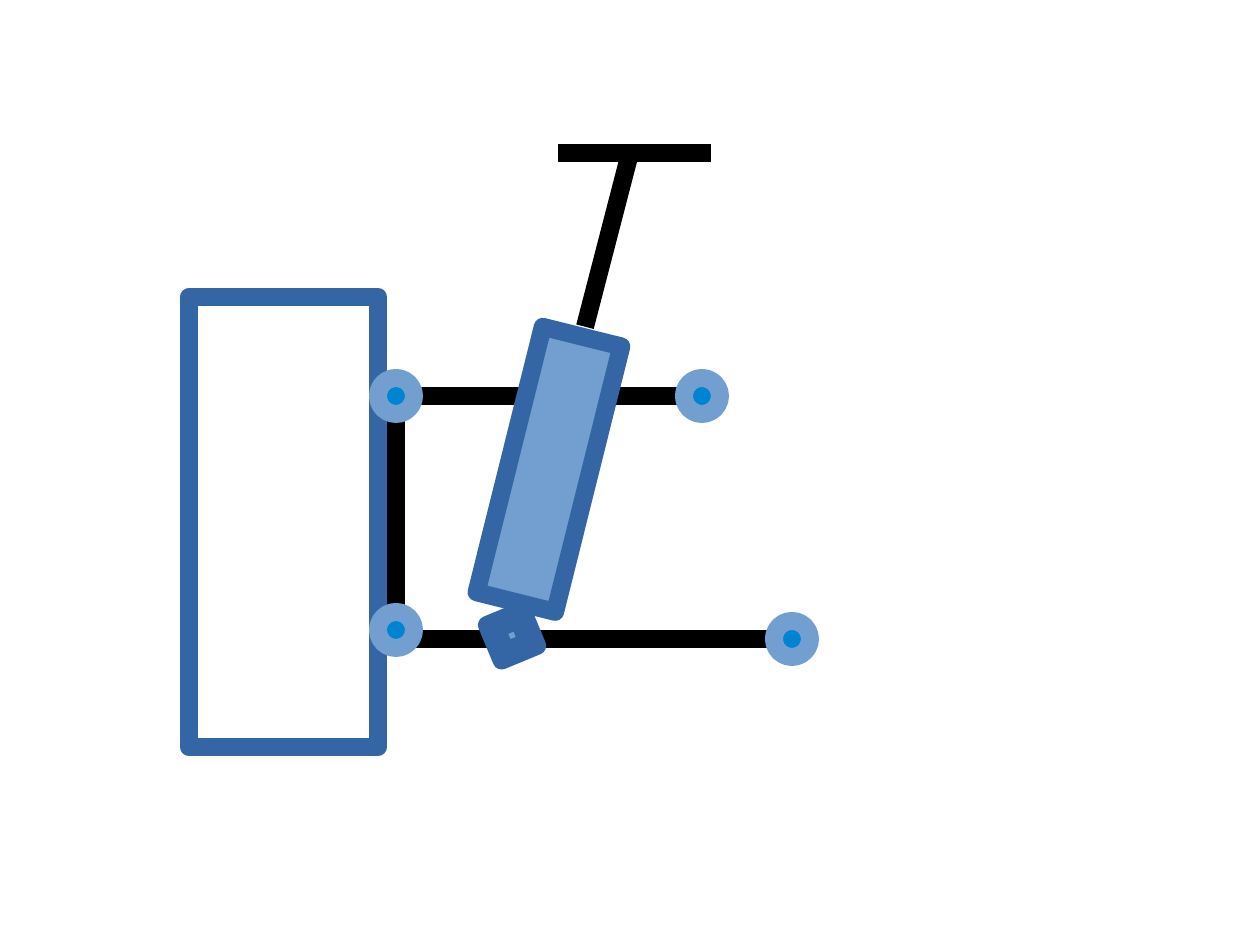
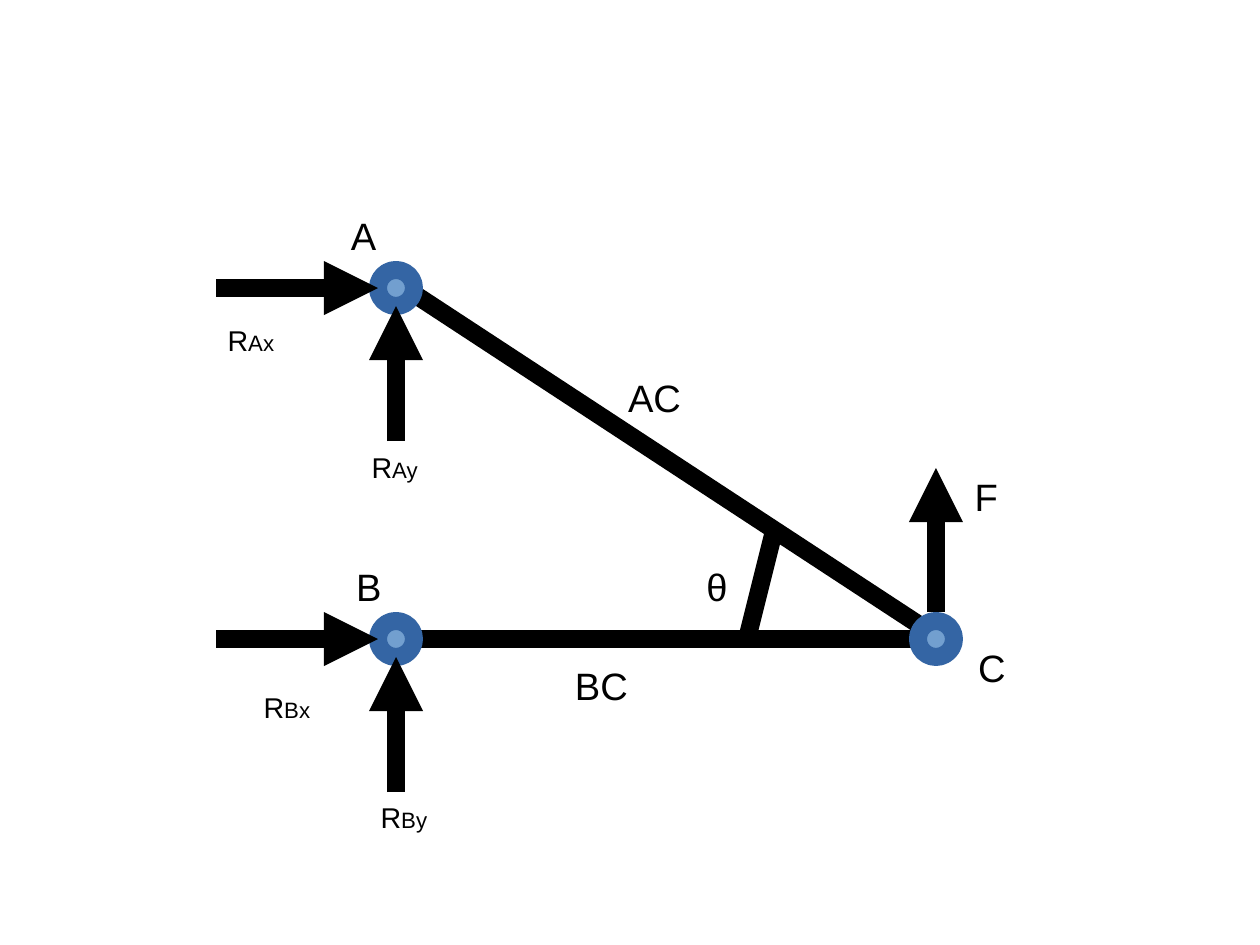
from typing import NamedTuple

from lxml import etree
from pptx import Presentation
from pptx.dml.color import RGBColor
from pptx.enum.shapes import MSO_CONNECTOR, MSO_SHAPE
from pptx.enum.text import MSO_AUTO_SIZE
from pptx.oxml.ns import qn
from pptx.util import Emu, Inches, Mm, Pt

STRAIGHT = MSO_CONNECTOR.STRAIGHT
RECTANGLE, OVAL, BEVEL = MSO_SHAPE.RECTANGLE, MSO_SHAPE.OVAL, MSO_SHAPE.BEVEL
GROW = MSO_AUTO_SIZE.SHAPE_TO_FIT_TEXT

# Shared style
BLACK = RGBColor(0x00, 0x00, 0x00)
DARK_BLUE = RGBColor(0x34, 0x65, 0xA4)
LIGHT_BLUE = RGBColor(0x72, 0x9F, 0xCF)
BRIGHT_BLUE = RGBColor(0x00, 0x84, 0xD1)
FONT = "Arial"
STROKE = Pt(11.34)
NAME_SIZE, REACTION_SIZE, SUBSCRIPT_SIZE = 24, 18, 14

# Grid of square cells covering the slide
COLUMNS, ROWS = 140, 105
SLIDE_WIDTH, SLIDE_HEIGHT = Mm(280), Mm(210)
JOINT_SIZE = 4


class Bar(NamedTuple):
    """A thick line between two grid points."""
    x1: float
    y1: float
    x2: float
    y2: float
    arrow: bool = False


class Box(NamedTuple):
    """An outlined shape, placed by its centre."""
    x: float
    y: float
    width: float
    height: float
    kind: int = RECTANGLE
    fill: RGBColor | None = None
    line: RGBColor = DARK_BLUE
    rotation: float = 0


class Label(NamedTuple):
    """A name, with an optional smaller subscript."""
    x: float
    y: float
    width: float
    name: str
    subscript: str = ""


# Suspension: wheel, links, joints, damper and mount
WHEEL = Box(31.5, 58, 21, 50)
LINKS = (Bar(44, 45, 44, 68), Bar(46, 44, 78, 44), Bar(46, 71, 87, 71))
PIVOTS = ((44, 44), (44, 70), (78, 44), (88, 71))
DAMPER = Box(61, 52.15, 9, 30.4, fill=LIGHT_BLUE, rotation=14)
DAMPER_FOOT = Box(56.9, 70.6, 4.27, 4.27, BEVEL, LIGHT_BLUE, rotation=-22.5)
FOOT_EDGE = 0.19
MOUNT = (Bar(65, 36.3, 70, 17), Bar(62, 17, 79, 17))

# Force diagram: members, nodes, forces and names
MEMBERS = (Bar(45, 32, 103, 70), Bar(45, 71, 103, 71))
NODES = ((104, 71), (44, 32), (44, 71))
FORCES = (
    Bar(24, 32, 42, 32, True),
    Bar(24, 71, 42, 71, True),
    Bar(104, 68, 104, 52, True),
    Bar(44, 49, 44, 34, True),
    Bar(44, 88, 44, 73, True),
)
LABELS = (
    Label(36.7, 22, 7.6, "A"),
    Label(37.3, 61, 7.6, "B"),
    Label(106.4, 70, 7.8, "C"),
    Label(23, 34.2, 10.3, "R", "Ax"),
    Label(39, 48.3, 10.3, "R", "Ay"),
    Label(27, 75, 10.3, "R", "Bx"),
    Label(40, 87.2, 10.3, "R", "By"),
    Label(106, 51, 7.3, "F"),
    Label(67.5, 40, 11.1, "AC"),
    Label(61.6, 72, 11.1, "BC"),
)
ANGLE_BAR = Bar(86, 59, 83, 71)
ANGLE_LABEL = Label(76.2, 61, 6.9, "θ")


def across(columns: float) -> Emu:
    return Emu(round(SLIDE_WIDTH * columns / COLUMNS))


def down(rows: float) -> Emu:
    return Emu(round(SLIDE_HEIGHT * rows / ROWS))


def style_line(shape, color: RGBColor, arrow: bool = False) -> None:
    shape.line.color.rgb = color
    shape.line.width = STROKE
    line = shape.line._get_or_add_ln()
    etree.SubElement(line, qn("a:round"))
    if arrow:
        etree.SubElement(line, qn("a:tailEnd"), type="triangle")


def draw_bar(shapes, bar: Bar) -> None:
    connector = shapes.add_connector(
        STRAIGHT, across(bar.x1), down(bar.y1), across(bar.x2), down(bar.y2))
    style_line(connector, BLACK, bar.arrow)
    etree.SubElement(connector._element.spPr, qn("a:effectLst"))


def draw_box(shapes, box: Box):
    shape = shapes.add_shape(
        box.kind, across(box.x - box.width / 2), down(box.y - box.height / 2),
        across(box.width), down(box.height))
    shape.rotation = box.rotation
    if box.fill is None:
        shape.fill.background()
    else:
        shape.fill.solid()
        shape.fill.fore_color.rgb = box.fill
    style_line(shape, box.line)
    shape.shadow.inherit = False
    return shape


def draw_joints(shapes, centres, fill: RGBColor, line: RGBColor) -> None:
    for x, y in centres:
        draw_box(shapes, Box(x, y, JOINT_SIZE, JOINT_SIZE, OVAL, fill, line))


def draw_label(shapes, label: Label) -> None:
    height = 6.9 if label.subscript else 8
    text_box = shapes.add_textbox(
        across(label.x), down(label.y), across(label.width), down(height))
    frame = text_box.text_frame
    frame.word_wrap = False
    frame.auto_size = GROW
    frame.margin_left = frame.margin_right = Inches(0.18)
    frame.margin_top = frame.margin_bottom = Inches(0.13)
    paragraph = frame.paragraphs[0]
    paragraph.text = label.name
    if label.subscript:
        paragraph.add_run().text = label.subscript
        sizes = (REACTION_SIZE, SUBSCRIPT_SIZE)
    else:
        sizes = (NAME_SIZE,)
    for run, size in zip(paragraph.runs, sizes):
        run.font.name = FONT
        run.font.size = Pt(size)
        run.font.color.rgb = BLACK


def draw_suspension(shapes) -> None:
    draw_box(shapes, WHEEL)
    for link in LINKS:
        draw_bar(shapes, link)
    draw_joints(shapes, PIVOTS, BRIGHT_BLUE, LIGHT_BLUE)
    draw_box(shapes, DAMPER)
    draw_box(shapes, DAMPER_FOOT).adjustments[0] = FOOT_EDGE
    for bar in MOUNT:
        draw_bar(shapes, bar)


def draw_force_diagram(shapes) -> None:
    truss = shapes.add_group_shape().shapes
    for member in MEMBERS:
        draw_bar(truss, member)
    draw_joints(truss, NODES, LIGHT_BLUE, DARK_BLUE)
    for force in FORCES:
        draw_bar(truss, force)
    for label in LABELS:
        draw_label(truss, label)
    draw_bar(shapes, ANGLE_BAR)
    draw_label(shapes, ANGLE_LABEL)


def main() -> None:
    presentation = Presentation()
    presentation.slide_width = SLIDE_WIDTH
    presentation.slide_height = SLIDE_HEIGHT
    blank = presentation.slide_layouts[6]
    for draw in (draw_suspension, draw_force_diagram):
        draw(presentation.slides.add_slide(blank).shapes)
    presentation.save("out.pptx")


if __name__ == "__main__":
    main()
